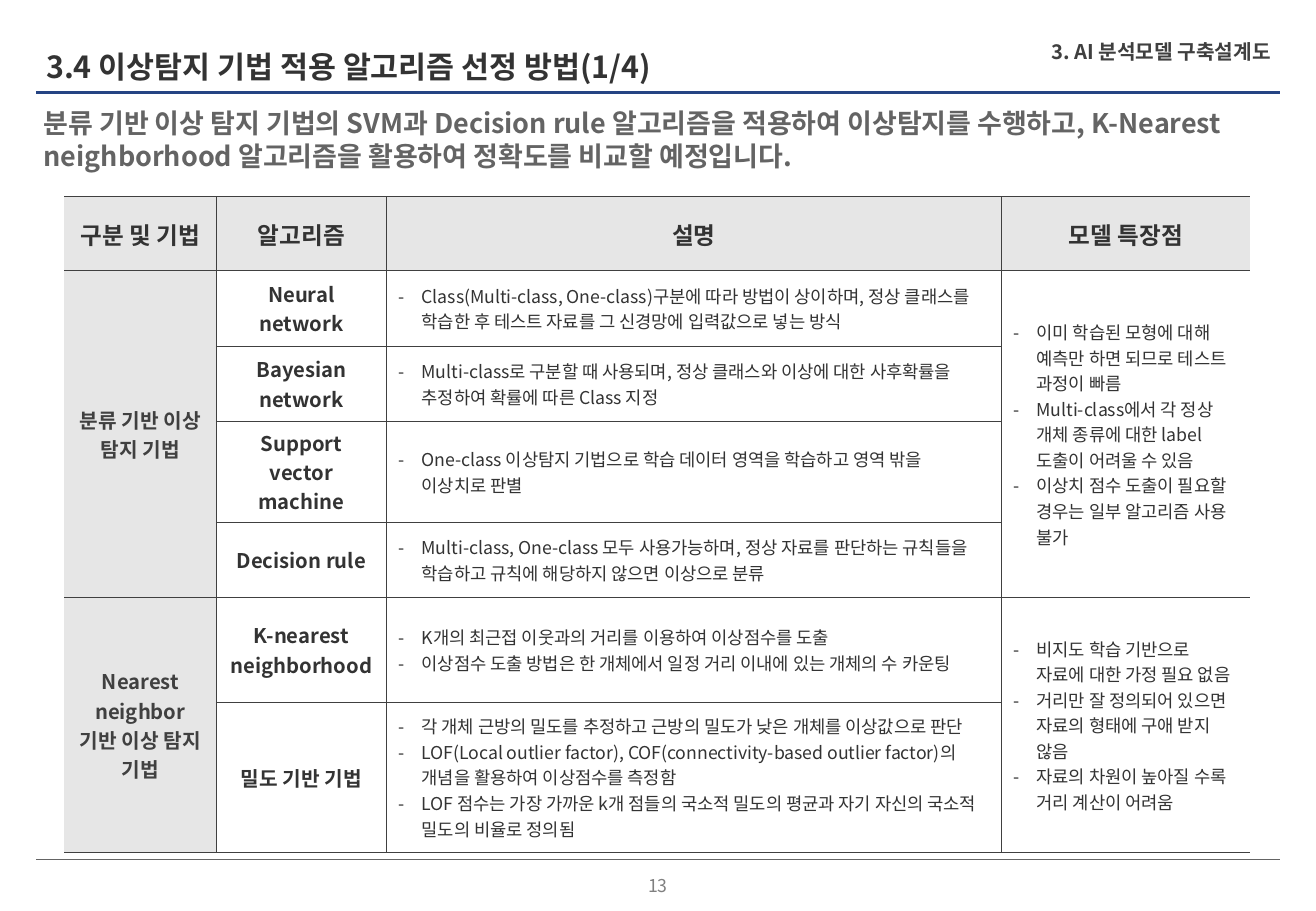
from lxml import etree
from pptx import Presentation
from pptx.dml.color import RGBColor
from pptx.enum.shapes import MSO_CONNECTOR
from pptx.enum.text import MSO_ANCHOR, PP_ALIGN
from pptx.oxml.ns import qn
from pptx.util import Inches, Pt

STRAIGHT = MSO_CONNECTOR.STRAIGHT
TOP, MIDDLE, BOTTOM = MSO_ANCHOR.TOP, MSO_ANCHOR.MIDDLE, MSO_ANCHOR.BOTTOM
LEFT, CENTER, RIGHT = PP_ALIGN.LEFT, PP_ALIGN.CENTER, PP_ALIGN.RIGHT

FONT = "Noto Sans CJK KR"
DARK, GRID, GRAY, SHADE = "333333", "404040", "646464", "E6E6E6"

COLUMN_WIDTHS = [1.25, 1.4, 5.06, 2.05]
ROW_HEIGHTS = [0.61, 0.62, 0.62, 0.83, 0.62, 0.86, 1.24]
HEADERS = ["구분 및 기법", "알고리즘", "설명", "모델 특장점"]

# (first row, last row, category lines, model traits)
GROUPS = [
    (1, 4, ["분류 기반 이상", "탐지 기법"],
     ["이미 학습된 모형에 대해 예측만 하면 되므로 테스트 과정이 빠름",
      "Multi-class에서 각 정상 개체 종류에 대한 label 도출이 어려울 수 있음",
      "이상치 점수 도출이 필요할 경우는 일부 알고리즘 사용 불가"]),
    (5, 6, ["Nearest neighbor 기반 이상 탐지 기법"],
     ["비지도 학습 기반으로 자료에 대한 가정 필요 없음",
      "거리만 잘 정의되어 있으면 자료의 형태에 구애 받지 않음",
      "자료의 차원이 높아질 수록 거리 계산이 어려움"]),
]

ALGORITHMS = [
    ("Neural network",
     ["Class(Multi-class, One-class)구분에 따라 방법이 상이하며, 정상 클래스를 "
      "학습한 후 테스트 자료를 그 신경망에 입력값으로 넣는 방식"]),
    ("Bayesian network",
     ["Multi-class로 구분할 때 사용되며, 정상 클래스와 이상에 대한 사후확률을 "
      "추정하여 확률에 따른 Class 지정"]),
    ("Support vector machine",
     ["One-class 이상탐지 기법으로 학습 데이터 영역을 학습하고 영역 밖을 이상치로 판별"]),
    ("Decision rule",
     ["Multi-class, One-class 모두 사용가능하며, 정상 자료를 판단하는 규칙들을 "
      "학습하고 규칙에 해당하지 않으면 이상으로 분류"]),
    ("K-nearest neighborhood",
     ["K개의 최근접 이웃과의 거리를 이용하여 이상점수를 도출",
      "이상점수 도출 방법은 한 개체에서 일정 거리 이내에 있는 개체의 수 카운팅"]),
    ("밀도 기반 기법",
     ["각 개체 근방의 밀도를 추정하고 근방의 밀도가 낮은 개체를 이상값으로 판단",
      "LOF(Local outlier factor), COF(connectivity-based outlier factor)의 "
      "개념을 활용하여 이상점수를 측정함",
      "LOF 점수는 가장 가까운 k개 점들의 국소적 밀도의 평균과 자기 자신의 "
      "국소적 밀도의 비율로 정의됨"]),
]


def rgb(color):
    return RGBColor.from_string(color)


def add_dash(paragraph):
    """Give the paragraph a hanging dash bullet."""
    properties = paragraph._p.get_or_add_pPr()
    properties.set("marL", str(Inches(0.19)))
    properties.set("indent", str(-Inches(0.19)))
    etree.SubElement(properties, qn("a:buFont"), typeface=FONT)
    etree.SubElement(properties, qn("a:buChar"), char="-")


def write(frame, lines, size=12, color=DARK, bold=True, align=CENTER,
          dashed=False, spacing=None):
    """Write one paragraph per line into a text frame."""
    for index, line in enumerate(lines):
        paragraph = frame.add_paragraph() if index else frame.paragraphs[0]
        if dashed:
            add_dash(paragraph)
        paragraph.alignment = align
        if spacing:
            paragraph.line_spacing = spacing
        run = paragraph.add_run()
        run.text = line
        font = run.font
        font.size, font.bold, font.name = Pt(size), bold, FONT
        font.color.rgb = rgb(color)
        etree.SubElement(run._r.get_or_add_rPr(), qn("a:ea"), typeface=FONT)


def add_text(slide, text, place, insets=(0, 0, 0, 0), anchor=TOP, wrap=True, **style):
    frame = slide.shapes.add_textbox(*map(Inches, place)).text_frame
    frame.word_wrap = wrap
    frame.vertical_anchor = anchor
    (frame.margin_left, frame.margin_top,
     frame.margin_right, frame.margin_bottom) = map(Inches, insets)
    write(frame, [text], **style)


def add_rule(slide, y, color, width):
    rule = slide.shapes.add_connector(
        STRAIGHT, Inches(0.3), Inches(y), Inches(10.53), Inches(y))
    rule.line.color.rgb = rgb(color)
    rule.line.width = Pt(width)
    etree.SubElement(rule._element.spPr, qn("a:effectLst"))


def set_borders(cell, open_sides):
    """Draw thin cell borders, leaving the open sides without a line."""
    properties = cell._tc.get_or_add_tcPr()
    for side in ("lnL", "lnR", "lnT", "lnB"):
        line = etree.SubElement(properties, qn(f"a:{side}"), w=str(Pt(0.5)))
        if side in open_sides:
            etree.SubElement(line, qn("a:noFill"))
        else:
            fill = etree.SubElement(line, qn("a:solidFill"))
            etree.SubElement(fill, qn("a:srgbClr"), val=GRID)


def format_cell(cell, row, column):
    cell.vertical_anchor = MIDDLE
    set_borders(cell, {0: ["lnL"], 3: ["lnR"]}.get(column, []))
    if row == 0 or column == 0:
        cell.fill.solid()
        cell.fill.fore_color.rgb = rgb(SHADE)
    else:
        cell.fill.background()


def write_notes(cell, notes):
    write(cell.text_frame, notes, size=10.5, bold=False, align=LEFT, dashed=True)


def add_algorithm_table(slide):
    table = slide.shapes.add_table(
        len(ROW_HEIGHTS), len(COLUMN_WIDTHS), Inches(0.53), Inches(1.62),
        Inches(sum(COLUMN_WIDTHS)), Inches(sum(ROW_HEIGHTS))).table
    table.first_row = table.horz_banding = False
    for column, width in zip(table.columns, COLUMN_WIDTHS):
        column.width = Inches(width)
    for row, height in zip(table.rows, ROW_HEIGHTS):
        row.height = Inches(height)
    for row in range(len(ROW_HEIGHTS)):
        for column in range(len(COLUMN_WIDTHS)):
            format_cell(table.cell(row, column), row, column)

    for column, header in enumerate(HEADERS):
        write(table.cell(0, column).text_frame, [header], size=14)
    for row, (algorithm, notes) in enumerate(ALGORITHMS, start=1):
        write(table.cell(row, 1).text_frame, [algorithm])
        write_notes(table.cell(row, 2), notes)
    for first, last, category, traits in GROUPS:
        for column in (0, 3):
            table.cell(first, column).merge(table.cell(last, column))
        write(table.cell(first, 0).text_frame, category, color=GRID)
        write_notes(table.cell(first, 3), traits)


def main():
    presentation = Presentation()
    presentation.slide_width = Inches(10.83)
    presentation.slide_height = Inches(7.5)
    slide = presentation.slides.add_slide(presentation.slide_layouts[6])

    add_text(slide, "13", (4.99, 7.2, 0.85, 0.18), size=10.5, color="808080", bold=False)
    add_rule(slide, 0.76, "254483", 1.5)
    add_rule(slide, 7.07, GRAY, 0.25)
    add_text(slide, "3.4 이상탐지 기법 적용 알고리즘 선정 방법(1/4)", (0.3, 0.3, 10.24, 0.46),
             insets=(0.08, 0.04, 0.08, 0.06), anchor=BOTTOM, size=18, align=LEFT,
             spacing=0.85)
    add_text(slide, "분류 기반 이상 탐지 기법의 SVM과 Decision rule 알고리즘을 적용하여 "
             "이상탐지를 수행하고, K-Nearest neighborhood 알고리즘을 활용하여 "
             "정확도를 비교할 예정입니다.", (0.28, 0.84, 10.24, 0.62),
             insets=(0.08, 0.04, 0.08, 0.04), size=16, color=GRAY, align=LEFT)
    add_text(slide, "3. AI 분석모델 구축설계도", (8.08, 0.32, 2.38, 0.24), wrap=False,
             color="3F3F3F", align=RIGHT)
    add_algorithm_table(slide)

    presentation.save("out.pptx")


if __name__ == "__main__":
    main()
